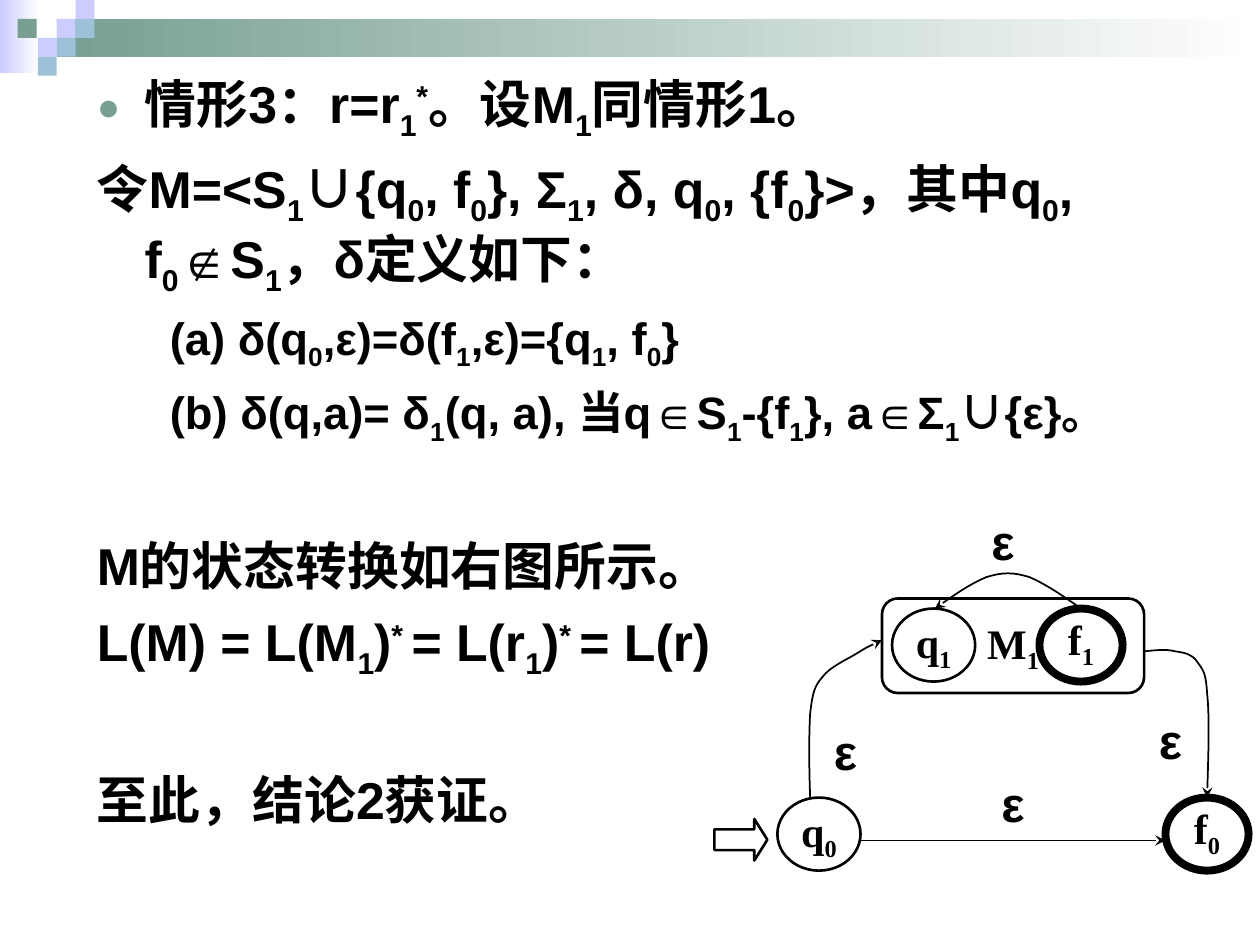
from itertools import groupby

from lxml import etree
from pptx import Presentation
from pptx.dml.color import RGBColor
from pptx.enum.shapes import MSO_CONNECTOR, MSO_SHAPE
from pptx.enum.text import MSO_ANCHOR, PP_ALIGN
from pptx.oxml.ns import qn
from pptx.util import Inches, Pt

BLACK, WHITE, GREEN, LILAC, BLUE = "000000", "FFFFFF", "779F92", "CCCCFF", "9DC2D7"
SANS, SERIF, CJK = "Arial", "Times New Roman", "Noto Sans CJK SC"
BASELINES = {"_": "-25000", "^": "30000"}


def rgb(value):
    return RGBColor.from_string(value)


def sub(parent, tag, **attrs):
    return etree.SubElement(parent, qn(tag), attrs)


def split_runs(text):
    """Yield (text, baseline, is_union); "_" lowers and "^" raises the next character."""
    chars, base = [], None
    for ch in text:
        if ch in BASELINES:
            base = BASELINES[ch]
        else:
            chars.append((ch, base, ch == "∪"))
            base = None
    for (base, union), group in groupby(chars, key=lambda c: c[1:]):
        yield "".join(c[0] for c in group), base, union


class Board:
    margins = {"margin_left": 0.1, "margin_top": 0.05,
               "margin_right": 0.1, "margin_bottom": 0.05}

    def __init__(self, slide):
        self.s = slide

    def add_runs(self, p, text, size, font):
        for part, base, union in split_runs(text):
            r = p.add_run()
            r.text = part
            style = {"size": Pt(size), "bold": True, "name": CJK if union else font}
            for name, value in style.items():
                setattr(r.font, name, value)
            r.font.color.rgb = rgb(BLACK)
            rPr = r._r.get_or_add_rPr()
            sub(rPr, "a:ea", typeface=CJK)
            if base:
                rPr.set("baseline", base)

    def frame(self, sp, wrap, anchor, **changes):
        tf = sp.text_frame
        tf.word_wrap = wrap
        tf.vertical_anchor = anchor
        for name, value in {**self.margins, **changes}.items():
            setattr(tf, name, Inches(value))
        return tf

    def label(self, sp, text, size, font, **changes):
        p = self.frame(sp, False, MSO_ANCHOR.MIDDLE, **changes).paragraphs[0]
        p.alignment = PP_ALIGN.CENTER
        self.add_runs(p, text, size, font)

    def box(self, x, y, w, h):
        return self.s.shapes.add_textbox(*map(Inches, (x, y, w, h)))

    def epsilon(self, x, y):
        self.label(self.box(x, y, 0.92, 0.58), "ε", 28, SANS)

    def shape(self, kind, x, y, w, h):
        sp = self.s.shapes.add_shape(kind, *map(Inches, (x, y, w, h)))
        sp.shadow.inherit = False
        return sp

    def tile(self, x, y, color, w=0.15, h=0.15, fade=False):
        sp = self.shape(MSO_SHAPE.RECTANGLE, x, y, w, h)
        sp.line.fill.background()
        if fade:
            sp.fill.gradient()
            sp.fill.gradient_angle = 180
            for stop, value in zip(sp.fill.gradient_stops, (WHITE, color)):
                stop.color.rgb = rgb(value)
        else:
            sp.fill.solid()
            sp.fill.fore_color.rgb = rgb(color)

    def outline(self, kind, x, y, w, h, weight=1.5, adjust=()):
        sp = self.shape(kind, x, y, w, h)
        sp.fill.background()
        self.stroke(sp, weight)
        for i, value in enumerate(adjust):
            sp.adjustments[i] = value
        return sp

    def state(self, x, y, text, final=False):
        sp = self.outline(MSO_SHAPE.OVAL, x, y, 0.66, 0.58, 4.5 if final else 1.5)
        self.label(sp, text, 24, SERIF, margin_top=0 if final else 0.05)

    def stroke(self, sp, weight, arrow=False):
        sp.line.color.rgb = rgb(BLACK)
        sp.line.width = Pt(weight)
        if arrow:
            sub(sp.line._get_or_add_ln(), "a:tailEnd", type="stealth")

    def arrow(self, x1, y1, x2, y2):
        cn = self.s.shapes.add_connector(
            MSO_CONNECTOR.STRAIGHT, *map(Inches, (x1, y1, x2, y2)))
        self.stroke(cn, 1, arrow=True)
        sub(cn._element.spPr, "a:effectLst")

    def curve(self, *points):
        """Draw an arrow along cubic Béziers: a start, then three points a segment."""
        pts = [(Inches(x), Inches(y)) for x, y in points]
        fb = self.s.shapes.build_freeform(*pts[0])
        fb.add_line_segments(pts[1:], close=False)
        sp = fb.convert_to_shape()
        outline = next(sp._element.iter(qn("a:path")))
        lines = outline.findall(qn("a:lnTo"))
        for i in range(0, len(lines), 3):
            bezier = sub(outline, "a:cubicBezTo")
            for line in lines[i:i + 3]:
                bezier.append(line[0])
                outline.remove(line)
        sp.shadow.inherit = False
        sp.fill.background()
        self.stroke(sp, 1, arrow=True)

    def body(self, x, y, w, h, paragraphs):
        tf = self.frame(self.box(x, y, w, h), True, MSO_ANCHOR.TOP)
        for i, (text, level, before, bullet) in enumerate(paragraphs):
            p = tf.paragraphs[0] if i == 0 else tf.add_paragraph()
            p.level = level
            p.space_before = Pt(before)
            left, hang, size = (1.15, 0.57, 25.9) if level else (0.38, 0.38, 29.6)
            pPr = p._p.get_or_add_pPr()
            pPr.set("marL", str(Inches(left)))
            pPr.set("indent", str(-Inches(hang)))
            if bullet:
                sub(sub(pPr, "a:buClr"), "a:srgbClr", val=GREEN)
                sub(pPr, "a:buSzPct", val="75000")
                sub(pPr, "a:buFont", typeface=SANS)
                sub(pPr, "a:buChar", char="●")
            else:
                sub(pPr, "a:buNone")
            self.add_runs(p, text, size, SANS)


def main():
    prs = Presentation()
    prs.slide_width, prs.slide_height = Inches(10), Inches(7.5)
    b = Board(prs.slides.add_slide(prs.slide_layouts[6]))

    b.tile(0, 0, LILAC, 0.31, 0.58, fade=True)
    b.tile(0.45, 0.15, GREEN, 9.55, 0.3, fade=True)
    for x, y, color in [(0.45, 0.15, LILAC), (0.6, 0, LILAC), (0.6, 0.15, BLUE),
                        (0.3, 0.3, LILAC), (0.14, 0.15, GREEN), (0.45, 0.3, BLUE),
                        (0.3, 0.45, BLUE)]:
        b.tile(x, y, color)

    b.body(0.67, 0.52, 9, 6.23, [
        ("情形3：r=r_1^*。设M_1同情形1。", 0, 0, True),
        ("令M=<S_1∪{q_0, f_0}, Σ_1, δ, q_0, {f_0}>，其中q_0, f_0∉S_1，δ定义如下：",
         0, 8, False),
        ("(a) δ(q_0,ε)=δ(f_1,ε)={q_1, f_0}", 1, 7, False),
        ("(b) δ(q,a)= δ_1(q, a), 当q∈S_1-{f_1}, a∈Σ_1∪{ε}。", 1, 7, False),
        ("M的状态转换如右图所示。", 0, 50, False),
        ("L(M) = L(M_1)^*^ = L(r_1)^*^ = L(r)", 0, 8, False),
        ("至此，结论2获证。", 0, 50, False),
    ])

    b.outline(MSO_SHAPE.RIGHT_ARROW, 5.67, 6.5, 0.42, 0.33, adjust=(0.5, 0.313))
    machine = b.outline(MSO_SHAPE.ROUNDED_RECTANGLE, 7, 4.75, 2.08, 0.75)
    b.label(machine, "M_1", 24, SERIF)
    b.state(7.08, 4.83, "q_1")
    b.state(8.25, 4.83, "f_1", final=True)
    b.state(6.17, 6.33, "q_0")
    b.state(9.25, 6.33, "f_0", final=True)

    b.curve((8.58, 4.83), (8.44, 4.73), (8.29, 4.63), (8.17, 4.58),
            (8.04, 4.54), (7.96, 4.54), (7.83, 4.58),
            (7.71, 4.63), (7.56, 4.73), (7.42, 4.83))
    b.curve((6.43, 6.33), (6.42, 6.08), (6.42, 5.82), (6.43, 5.66),
            (6.45, 5.5), (6.46, 5.45), (6.53, 5.37),
            (6.59, 5.29), (6.73, 5.23), (6.81, 5.18),
            (6.89, 5.13), (6.94, 5.11), (7, 5.08))
    b.curve((9.08, 5.17), (9.17, 5.16), (9.26, 5.15), (9.33, 5.17),
            (9.4, 5.18), (9.46, 5.19), (9.5, 5.25),
            (9.54, 5.31), (9.57, 5.32), (9.58, 5.5),
            (9.6, 5.68), (9.59, 6.01), (9.58, 6.33))
    b.arrow(6.83, 6.67, 9.25, 6.67)
    for x, y in [(8.83, 5.58), (6.25, 5.67), (7.5, 4), (7.58, 6.08)]:
        b.epsilon(x, y)

    prs.save("out.pptx")


if __name__ == "__main__":
    main()
